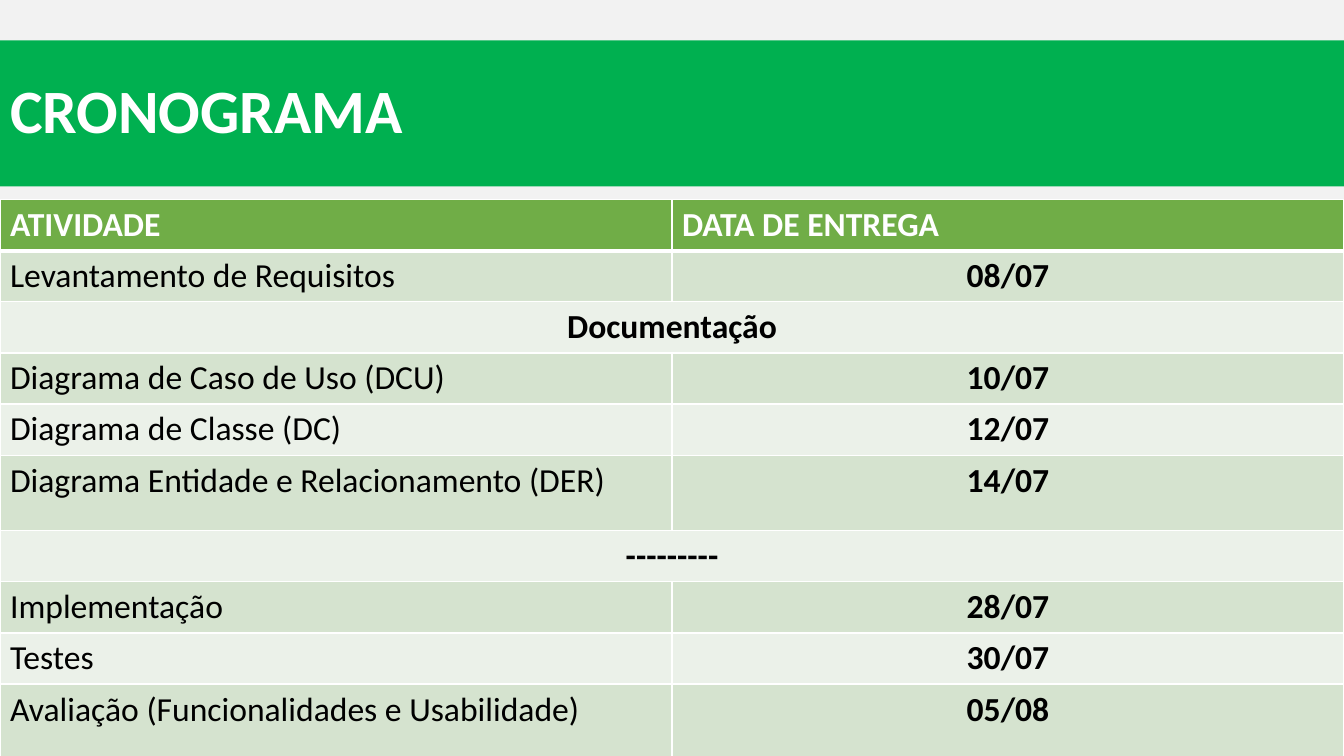
from pptx import Presentation
from pptx.dml.color import RGBColor
from pptx.enum.text import MSO_ANCHOR, MSO_AUTO_SIZE, PP_ALIGN
from pptx.oxml import parse_xml
from pptx.oxml.ns import nsdecls
from pptx.util import Inches, Pt

BACKGROUND = RGBColor(0xF2, 0xF2, 0xF2)
BANNER = RGBColor(0x00, 0xB0, 0x50)
HEADER = RGBColor(0x70, 0xAD, 0x47)
BAND_DARK = RGBColor(0xD5, 0xE3, 0xCF)
BAND_LIGHT = RGBColor(0xEB, 0xF1, 0xE9)
WHITE = RGBColor(0xFF, 0xFF, 0xFF)
BLACK = RGBColor(0x00, 0x00, 0x00)

WIDTH, HEIGHT = 13.33, 7.5
ROW_HEIGHT, TALL_ROW_HEIGHT = 0.5, 0.75
TALL_ROWS = {5, 9}

SCHEDULE = [
    ("ATIVIDADE", "DATA DE ENTREGA"),
    ("Levantamento de Requisitos", "08/07"),
    ("Documentação",),
    ("Diagrama de Caso de Uso (DCU)", "10/07"),
    ("Diagrama de Classe (DC)", "12/07"),
    ("Diagrama Entidade e Relacionamento (DER)", "14/07"),
    ("---------",),
    ("Implementação", "28/07"),
    ("Testes", "30/07"),
    ("Avaliação (Funcionalidades e Usabilidade)", "05/08"),
]


def write(tf, text, color, size, bold, align):
    p = tf.paragraphs[0]
    p.alignment = align
    r = p.add_run()
    r.text = text
    r.font.color.rgb = color
    for name, value in {"name": "Calibri", "size": Pt(size), "bold": bold}.items():
        setattr(r.font, name, value)
    return p


def set_borders(cell, widths):
    tcPr = cell._tc.get_or_add_tcPr()
    for i, (side, width) in enumerate(widths.items()):
        tcPr.insert(i, parse_xml(
            f'<a:ln{side} {nsdecls("a")} w="{Pt(width)}"><a:solidFill>'
            f'<a:srgbClr val="{WHITE}"/></a:solidFill></a:ln{side}>'))


def add_banner(slide, left, top, width, height):
    sp = slide.shapes.title
    box = {"left": left, "top": top, "width": width, "height": height}
    for name, value in box.items():
        setattr(sp, name, Inches(value))
    sp.fill.solid()
    sp.fill.fore_color.rgb = BANNER
    tf = sp.text_frame
    frame = {"word_wrap": True, "auto_size": MSO_AUTO_SIZE.NONE,
             "vertical_anchor": MSO_ANCHOR.MIDDLE}
    for name, value in frame.items():
        setattr(tf, name, value)
    p = write(tf, "CRONOGRAMA", WHITE, 44, True, PP_ALIGN.LEFT)
    p.line_spacing = 0.9


def add_schedule(slide, left, top, width, height):
    box = [Inches(v) for v in (left, top, width, height)]
    table = slide.shapes.add_table(len(SCHEDULE), 2, *box).table
    for column in table.columns:
        column.width = Inches(width / 2)
    for i, texts in enumerate(SCHEDULE):
        table.rows[i].height = Inches(TALL_ROW_HEIGHT if i in TALL_ROWS else ROW_HEIGHT)
        is_header, is_section = i == 0, len(texts) == 1
        fill = HEADER if is_header else BAND_DARK if i % 2 else BAND_LIGHT
        for cell in table.rows[i].cells:
            cell.fill.solid()
            cell.fill.fore_color.rgb = fill
            set_borders(cell, {"L": 1, "R": 1, "T": 3 if i == 1 else 1,
                               "B": 3 if is_header else 1})
        if is_section:
            table.cell(i, 0).merge(table.cell(i, 1))
        for j, text in enumerate(texts):
            centered = not is_header and (is_section or j == 1)
            write(table.cell(i, j).text_frame, text, WHITE if is_header else BLACK, 24,
                  is_header or centered, PP_ALIGN.CENTER if centered else PP_ALIGN.LEFT)


prs = Presentation()
prs.slide_width, prs.slide_height = Inches(WIDTH), Inches(HEIGHT)
slide = prs.slides.add_slide(prs.slide_layouts[5])
slide.background.fill.solid()
slide.background.fill.fore_color.rgb = BACKGROUND
add_banner(slide, 0, 0.4, WIDTH, 1.45)
add_schedule(slide, 0, 1.98, WIDTH, 5.52)
prs.save("out.pptx")
